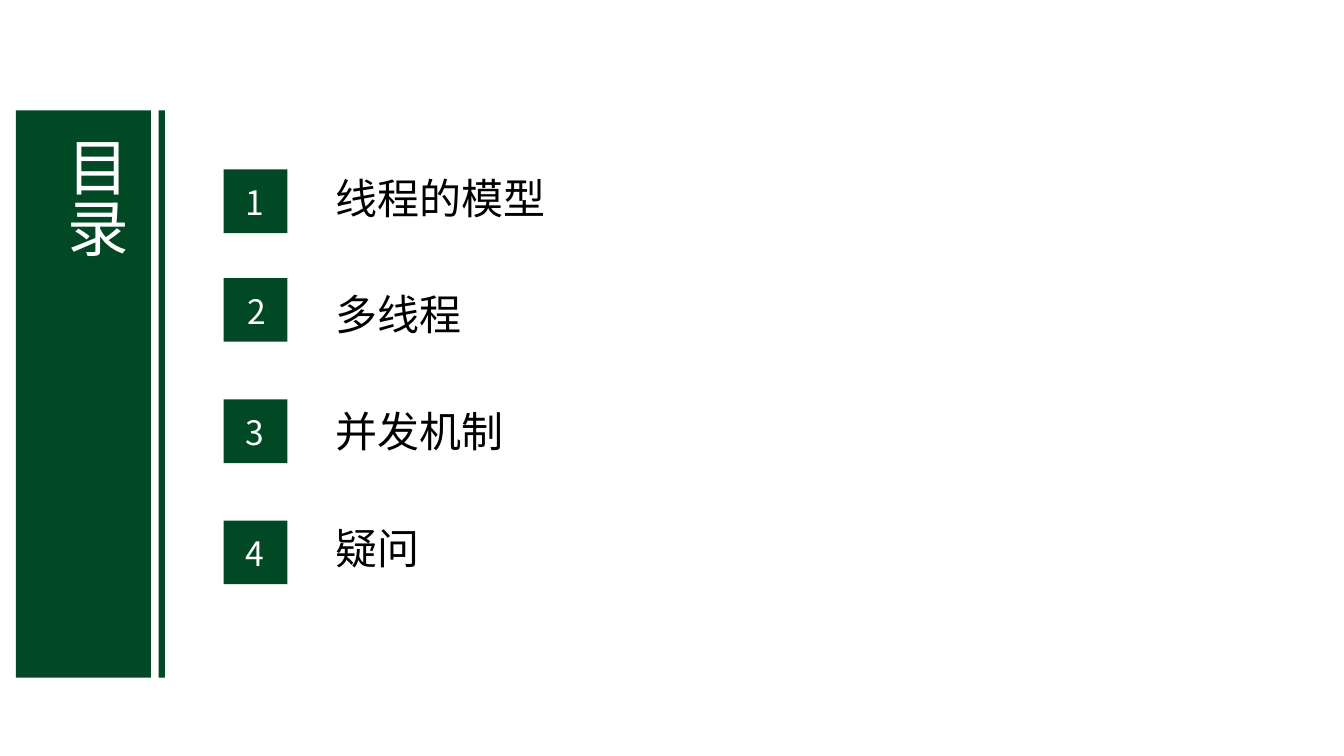
from pptx import Presentation
from pptx.dml.color import RGBColor
from pptx.enum.shapes import MSO_SHAPE
from pptx.enum.text import MSO_ANCHOR, MSO_AUTO_SIZE, PP_ALIGN
from pptx.oxml.ns import qn
from pptx.util import Pt
from lxml import etree

# Content: label, label width, square top, number left
TITLE = "目录"
ITEMS = [
    ("线程的模型", 156.2, 121, 157),
    ("多线程", 96.5, 198.6, 158.2),
    ("并发机制", 126.7, 285.3, 157),
    ("疑问", 66.2, 371.8, 157),
]
BARS = [(11.4, 96.5), (113.3, 4.6)]  # left, width

FONT = "Noto Sans CJK SC"
GREEN = RGBColor(0x01, 0x49, 0x24)
WHITE = RGBColor(0xFF, 0xFF, 0xFF)
BLACK = RGBColor(0, 0, 0)
RECT = MSO_SHAPE.RECTANGLE
LEFT, MID, JUST = PP_ALIGN.LEFT, PP_ALIGN.CENTER, PP_ALIGN.JUSTIFY
TOP = MSO_ANCHOR.TOP
GROW = MSO_AUTO_SIZE.SHAPE_TO_FIT_TEXT

BAR_TOP, BAR_H = 78.8, 405.2
BOX_X, BOX = 159.8, 45.5
NUM_DY, NUM_W, NUM_H = 5.5, 50.4, 31
LABEL_X, LABEL_Y, LABEL_H, STEP = 236.9, 120.2, 35.3, 83.3


def block(shapes, x, y, w, h):
    rect = shapes.add_shape(RECT, Pt(x), Pt(y), Pt(w), Pt(h))
    rect.shadow.inherit = False
    rect.fill.solid()
    rect.fill.fore_color.rgb = GREEN
    rect.line.fill.background()


def write(shape, text, size, color, align=LEFT, inset=3.6, wrap=True):
    frame = shape.text_frame
    frame.word_wrap = wrap
    frame.auto_size = GROW
    frame.vertical_anchor = TOP
    frame.margin_left = frame.margin_right = Pt(inset)
    frame.margin_top = frame.margin_bottom = Pt(inset)
    para = frame.paragraphs[0]
    para.alignment = align
    run = para.add_run()
    run.text = text
    font = run.font
    font.size, font.name, font.color.rgb = Pt(size), FONT, color
    asian = etree.SubElement(run._r.get_or_add_rPr(), qn("a:ea"))
    asian.set("typeface", FONT)


deck = Presentation()
deck.slide_width, deck.slide_height = Pt(960), Pt(540)
slide = deck.slides.add_slide(deck.slide_layouts[5])
shapes = slide.shapes

# Side bars
for x, w in BARS:
    block(shapes, x, BAR_TOP, w, BAR_H)

# Vertical title, brought in front of the bars
title = shapes.title
title.left, title.top = Pt(47.5), Pt(93.6)
title.width, title.height = Pt(51.1), Pt(103.7)
write(title, TITLE, 44, WHITE, align=JUST)
title.text_frame._txBody.bodyPr.set("vert", "eaVert")
shapes._spTree.append(title._element)

# Numbered entries
for i, (label, w, y, num_x) in enumerate(ITEMS):
    group = shapes.add_group_shape().shapes
    block(group, BOX_X, y, BOX, BOX)
    num = group.add_textbox(Pt(num_x), Pt(y + NUM_DY), Pt(NUM_W), Pt(NUM_H))
    write(num, str(i + 1), 24, WHITE, align=MID)
    entry = shapes.add_textbox(
        Pt(LABEL_X), Pt(LABEL_Y + i * STEP), Pt(w), Pt(LABEL_H))
    write(entry, label, 30, BLACK, inset=2.9, wrap=False)

deck.save("out.pptx")
